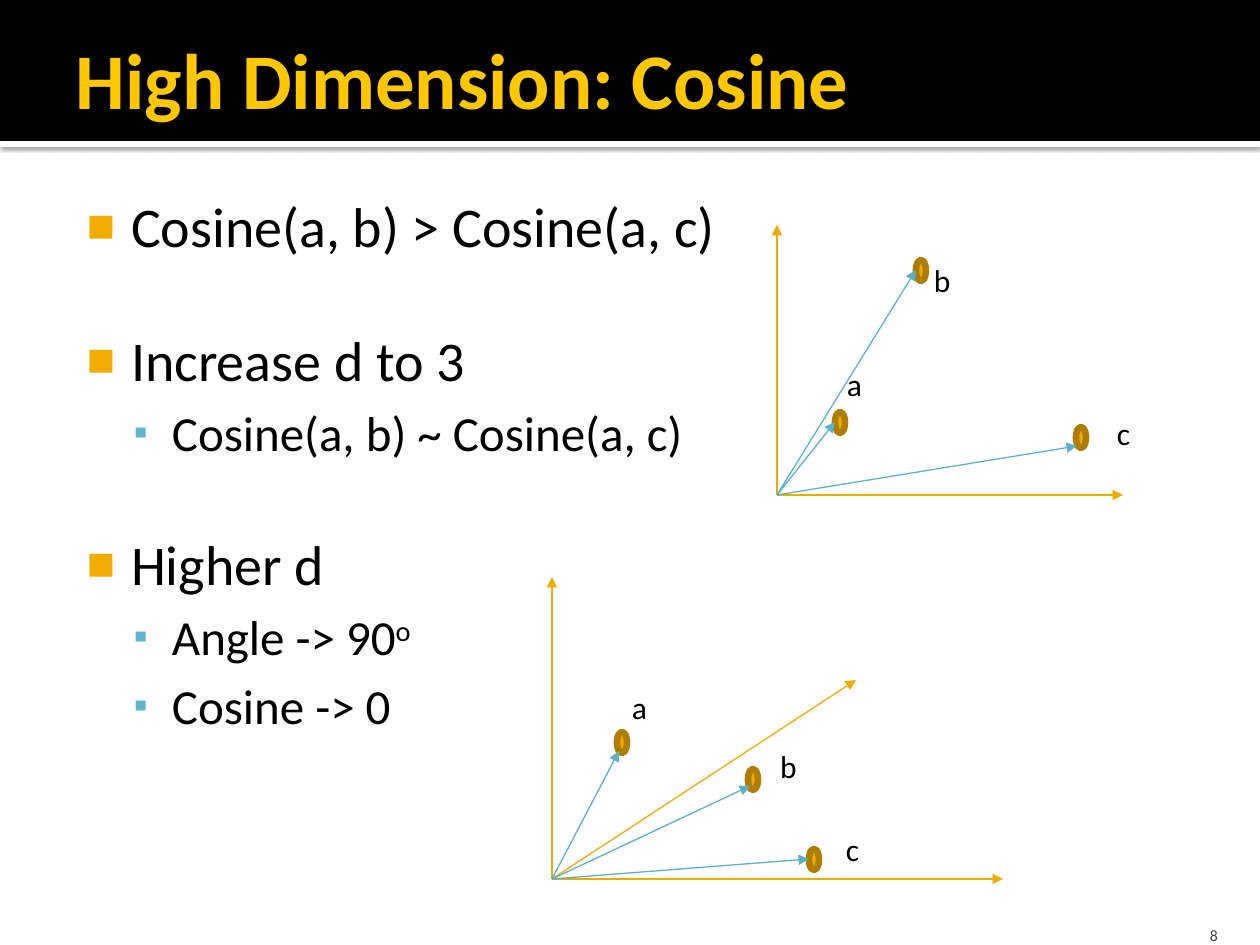
from lxml.etree import SubElement
from pptx import Presentation
from pptx.dml.color import RGBColor
from pptx.enum.shapes import MSO_CONNECTOR, MSO_SHAPE
from pptx.enum.text import MSO_ANCHOR, MSO_AUTO_SIZE, PP_ALIGN
from pptx.oxml.ns import qn
from pptx.util import Pt

EMU_PER_PX = 914400 / 126
FONT = "Calibri"
BLACK = RGBColor(0x00, 0x00, 0x00)
WHITE = RGBColor(0xFF, 0xFF, 0xFF)
TITLE_YELLOW = RGBColor(0xFF, 0xC7, 0x00)
AMBER = RGBColor(0xF0, 0xAD, 0x00)
AXIS_AMBER = RGBColor(0xEF, 0xAB, 0x00)
DOT_BROWN = RGBColor(0xAF, 0x7E, 0x00)
BULLET_BLUE = RGBColor(0x60, 0xB5, 0xCC)
VECTOR_BLUE = RGBColor(0x5A, 0xB1, 0xC9)
NUMBER_GRAY = RGBColor(0x41, 0x41, 0x41)

# level: size, left margin px, hanging px, bullet, bullet colour
LEVELS = [(32, 60, 44, "◼", AMBER), (28, 101, 38, "▪", BULLET_BLUE)]
# level, space before in points, (text, is superscript) runs
BODY = [
    (0, 0, [("Cosine(a, b) > Cosine(a, c)", False)]),
    (0, 38, [("Increase d to 3", False)]),
    (1, 5.6, [("Cosine(a, b) ~ Cosine(a, c)", False)]),
    (0, 39, [("Higher d", False)]),
    (1, 5.6, [("Angle -> 90", False), ("o", True)]),
    (1, 5.6, [("Cosine -> 0", False)]),
]

# Offsets from the origin in px. Points: dot corner, arrow tip, label corner.
PLANE_AXES = [(346, 0), (0, -270)]
PLANE_POINTS = {
    "a": [(58, -83), (58, -73), (57, -136)],
    "b": [(139, -235), (139, -225), (144, -240)],
    "c": [(299, -68), (300, -49), (327, -87)],
}
SPACE_AXES = [(304, -199), (451, 0), (0, -302)]
SPACE_POINTS = {
    "a": [(65, -147), (67, -128), (67, -197)],
    "b": [(196, -110), (198, -93), (215, -138)],
    "c": [(257, -30), (257, -20), (281, -55)],
}


def px(value):
    return round(value * EMU_PER_PX)


def place(shape, box):
    shape.left, shape.top, shape.width, shape.height = map(px, box)


def set_frame(shape, insets, anchor=MSO_ANCHOR.TOP, wrap=True):
    frame = shape.text_frame
    frame.auto_size = MSO_AUTO_SIZE.NONE
    frame.word_wrap = wrap
    frame.vertical_anchor = anchor
    (frame.margin_left, frame.margin_top,
     frame.margin_right, frame.margin_bottom) = map(px, insets)
    return frame


def add_run(paragraph, text, size, color, bold=False):
    run = paragraph.add_run()
    run.text = text
    font = run.font
    font.name, font.size, font.bold = FONT, Pt(size), bold
    font.color.rgb = color
    return run


def add_solid(slide, preset, box, fill):
    shape = slide.shapes.add_shape(preset, *map(px, box))
    shape.shadow.inherit = False
    shape.fill.solid()
    shape.fill.fore_color.rgb = fill
    shape.line.fill.background()
    return shape


def add_text(slide, box, text, size, color, insets,
             align=PP_ALIGN.LEFT, anchor=MSO_ANCHOR.TOP, wrap=True):
    shape = slide.shapes.add_textbox(*map(px, box))
    paragraph = set_frame(shape, insets, anchor, wrap).paragraphs[0]
    paragraph.alignment = align
    add_run(paragraph, text, size, color)


def add_arrow(slide, start, end, color):
    arrow = slide.shapes.add_connector(
        MSO_CONNECTOR.STRAIGHT, *map(px, (*start, *end)))
    arrow.line.color.rgb = color
    arrow.line.width = Pt(0.75)
    SubElement(arrow.line._get_or_add_ln(), qn("a:tailEnd"), type="triangle")
    SubElement(arrow._element.spPr, qn("a:effectLst"))


def add_soft_shadow(shape):
    effects = shape._element.spPr.find(qn("a:effectLst"))
    shadow = SubElement(effects, qn("a:outerShdw"), blurRad=str(Pt(2.5)),
                        dist=str(Pt(0.8)), dir="5400000", rotWithShape="0")
    color = SubElement(shadow, qn("a:srgbClr"), val=str(BLACK))
    SubElement(color, qn("a:alpha"), val="60000")


def set_bullet(paragraph, margin, hanging, symbol, color):
    properties = paragraph._p.get_or_add_pPr()
    properties.set("marL", str(px(margin)))
    properties.set("indent", str(px(-hanging)))
    bullet_color = SubElement(properties, qn("a:buClr"))
    SubElement(bullet_color, qn("a:srgbClr"), val=str(color))
    SubElement(properties, qn("a:buSzPct"), val="80000")
    SubElement(properties, qn("a:buFont"), typeface=FONT)
    SubElement(properties, qn("a:buChar"), char=symbol)


def build_header(slide, box):
    left, top, width, height = box
    stripe = add_solid(slide, MSO_SHAPE.RECTANGLE,
                       (left, top + height, width, 6), WHITE)
    add_soft_shadow(stripe)
    band = add_solid(slide, MSO_SHAPE.RECTANGLE, box, BLACK)
    for position, shape in enumerate((stripe, band), start=2):
        slide.shapes._spTree.insert(position, shape._element)

    title = slide.shapes.title
    place(title, (left + 63, top + 10, width - 126, height - 5))
    frame = set_frame(title, (13, 6, 6, 6), MSO_ANCHOR.MIDDLE)
    paragraph = frame.paragraphs[0]
    paragraph.alignment = PP_ALIGN.LEFT
    add_run(paragraph, "High Dimension: Cosine", 45, TITLE_YELLOW, bold=True)


def build_body(slide, box):
    body = slide.placeholders[1]
    place(body, box)
    frame = set_frame(body, (8, 13, 13, 6))
    for index, (level, space_before, runs) in enumerate(BODY):
        paragraph = frame.add_paragraph() if index else frame.paragraphs[0]
        size, *bullet = LEVELS[level]
        paragraph.level = level
        paragraph.space_before = Pt(space_before)
        set_bullet(paragraph, *bullet)
        for text, superscript in runs:
            run = add_run(paragraph, text, size, BLACK)
            if superscript:
                run.font._element.set("baseline", "30000")


def build_vectors(slide, origin, axes, points):
    """Draw axes and labelled vectors that all start at the origin."""
    def at(offset):
        return origin[0] + offset[0], origin[1] + offset[1]

    for end in axes:
        add_arrow(slide, origin, at(end), AXIS_AMBER)
    for name, (dot_corner, tip, label_corner) in points.items():
        dot = add_solid(slide, MSO_SHAPE.OVAL, (*at(dot_corner), 10, 21), AMBER)
        dot.line.color.rgb = DOT_BROWN
        dot.line.width = Pt(3.78)
        add_arrow(slide, origin, at(tip), VECTOR_BLUE)
        add_text(slide, (*at(label_corner), 42, 50), name, 18, BLACK,
                 (13, 6, 13, 6), wrap=False)


def main():
    presentation = Presentation()
    presentation.slide_width, presentation.slide_height = px(1260), px(945)
    slide = presentation.slides.add_slide(presentation.slide_layouts[1])
    build_header(slide, (0, 0, 1260, 141))
    build_body(slide, (63, 179, 1134, 724))
    build_vectors(slide, (777, 495), PLANE_AXES, PLANE_POINTS)
    build_vectors(slide, (552, 879), SPACE_AXES, SPACE_POINTS)
    add_text(slide, (1130, 907, 101, 38), "8", 9, NUMBER_GRAY, (13, 6, 13, 0),
             PP_ALIGN.RIGHT, MSO_ANCHOR.BOTTOM)
    presentation.save("out.pptx")


if __name__ == "__main__":
    main()
